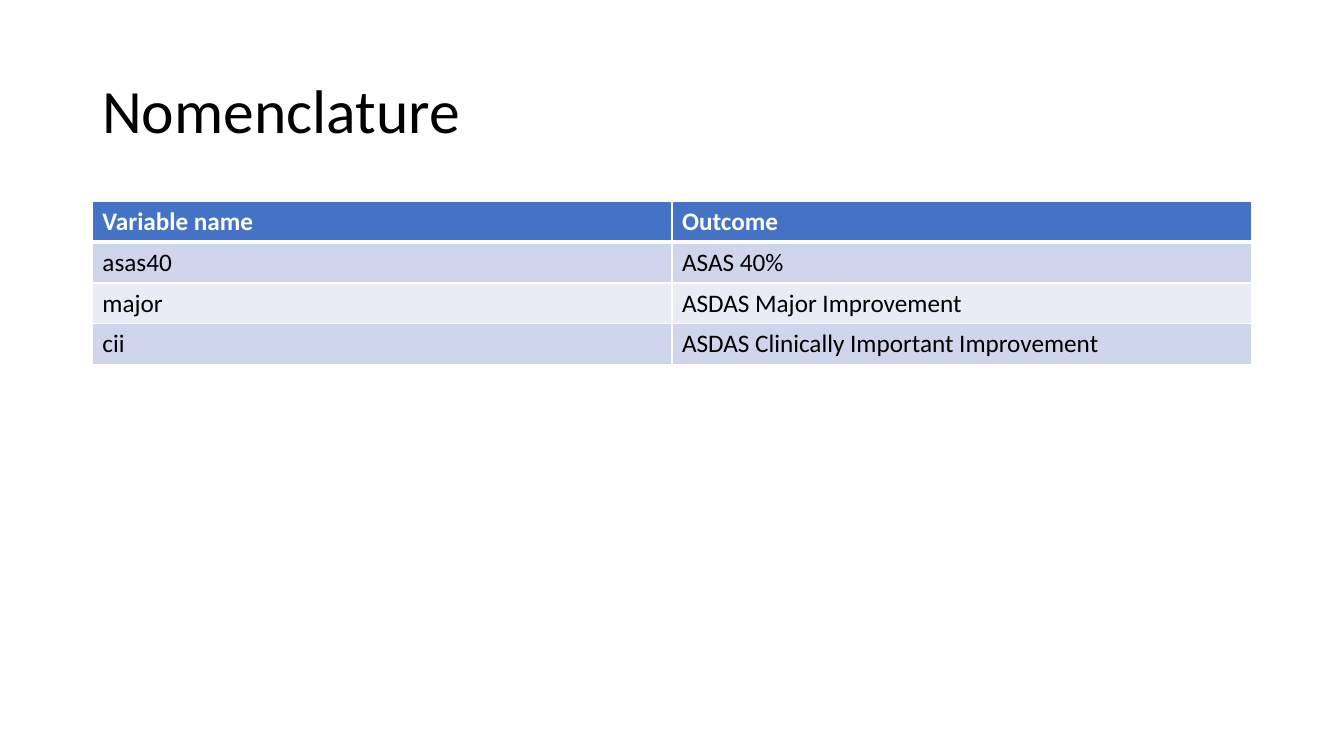
from dataclasses import dataclass

from lxml.etree import SubElement
from pptx import Presentation
from pptx.dml.color import RGBColor
from pptx.enum.text import MSO_ANCHOR
from pptx.oxml.ns import qn
from pptx.slide import Slide
from pptx.table import _Cell
from pptx.text.text import _Paragraph
from pptx.util import Pt

COLORS = {
    "black": "000000",
    "white": "FFFFFF",
    "header": "4472C4",
    "odd_row": "CFD5EA",
    "even_row": "E9EBF5",
}
FONT = "Calibri"
LEFT, WIDTH = 66, 828
TITLE_TOP, TITLE_HEIGHT = 28.75, 104.38
TABLE_TOP, ROW_HEIGHT = 143.75, 29.2


@dataclass(frozen=True)
class TableRow:
    variable: str
    outcome: str
    fill: str
    text_color: str = "black"
    bold: bool = False
    top_border: float = 1
    bottom_border: float = 1


ROWS = [
    TableRow("Variable name", "Outcome", "header", "white", bold=True, bottom_border=3),
    TableRow("asas40", "ASAS 40%", "odd_row", top_border=3),
    TableRow("major", "ASDAS Major Improvement", "even_row"),
    TableRow("cii", "ASDAS Clinically Important Improvement", "odd_row"),
]


def add_run(paragraph: _Paragraph, text: str, size: float, color: str, bold: bool = False) -> None:
    run = paragraph.add_run()
    run.text = text
    run.font.name = FONT
    run.font.size = Pt(size)
    run.font.bold = bold
    run.font.color.rgb = RGBColor.from_string(COLORS[color])


def add_title(slide: Slide, text: str) -> None:
    title = slide.shapes.add_textbox(Pt(LEFT), Pt(TITLE_TOP), Pt(WIDTH), Pt(TITLE_HEIGHT))
    title.text_frame.word_wrap = True
    title.text_frame.vertical_anchor = MSO_ANCHOR.MIDDLE
    paragraph = title.text_frame.paragraphs[0]
    paragraph.line_spacing = 0.9
    add_run(paragraph, text, 44, "black")


def set_borders(cell: _Cell, row: TableRow) -> None:
    properties = cell._tc.get_or_add_tcPr()
    widths = {"lnL": 1, "lnR": 1, "lnT": row.top_border, "lnB": row.bottom_border}
    for side, width in widths.items():
        line = SubElement(properties, qn(f"a:{side}"), w=str(Pt(width)))
        fill = SubElement(line, qn("a:solidFill"))
        SubElement(fill, qn("a:srgbClr"), val=COLORS["white"])


def add_outcome_table(slide: Slide, rows: list[TableRow]) -> None:
    frame = slide.shapes.add_table(
        len(rows), 2, Pt(LEFT), Pt(TABLE_TOP), Pt(WIDTH), Pt(ROW_HEIGHT * len(rows))
    )
    for table_row, row in zip(frame.table.rows, rows):
        table_row.height = Pt(ROW_HEIGHT)
        for cell, text in zip(table_row.cells, (row.variable, row.outcome)):
            set_borders(cell, row)
            cell.fill.solid()
            cell.fill.fore_color.rgb = RGBColor.from_string(COLORS[row.fill])
            add_run(cell.text_frame.paragraphs[0], text, 18, row.text_color, row.bold)


def main() -> None:
    presentation = Presentation()
    presentation.slide_width, presentation.slide_height = Pt(960), Pt(540)
    slide = presentation.slides.add_slide(presentation.slide_layouts[6])

    # Title
    add_title(slide, "Nomenclature")

    # Variable names and their outcomes
    add_outcome_table(slide, ROWS)

    presentation.save("out.pptx")


if __name__ == "__main__":
    main()
